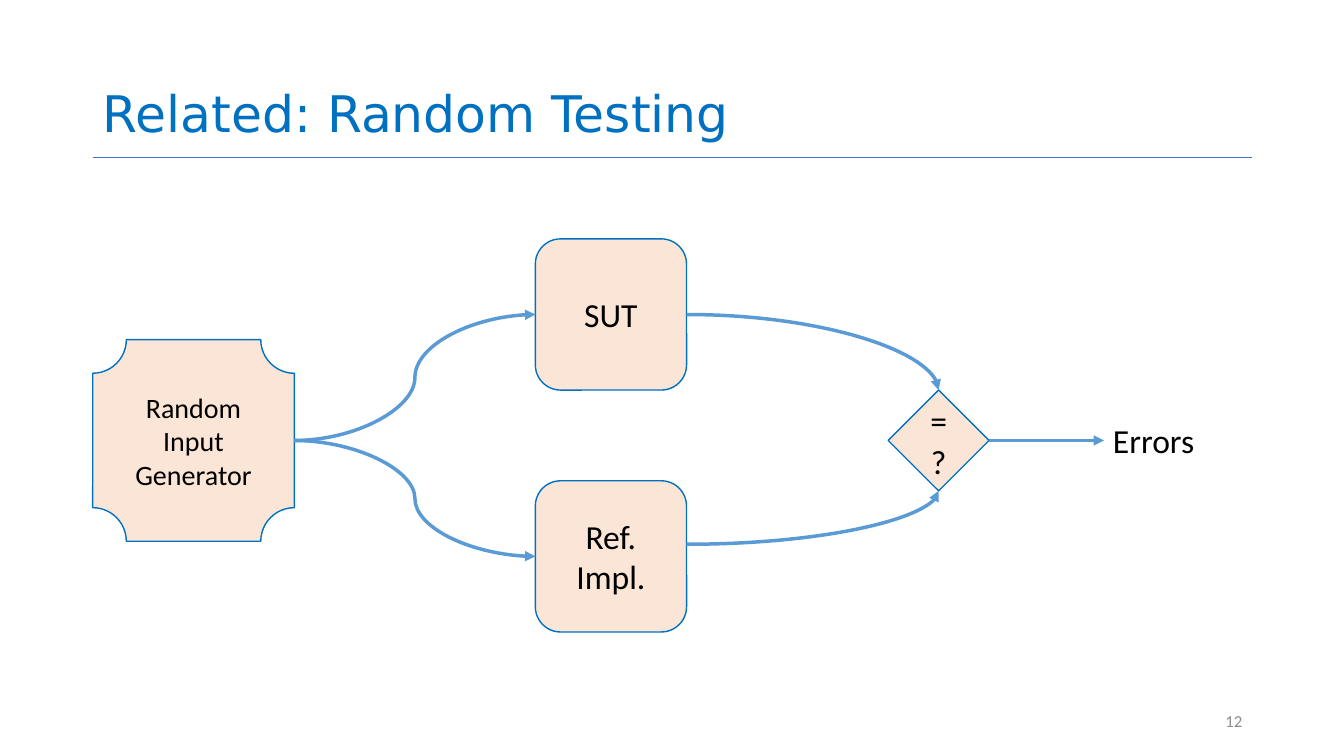
"""Build the random testing flow slide."""
from lxml import etree
from pptx import Presentation
from pptx.dml.color import RGBColor
from pptx.enum.shapes import MSO_CONNECTOR as Connector, MSO_SHAPE as Shape
from pptx.enum.text import MSO_ANCHOR as Anchor, MSO_AUTO_SIZE as AutoSize, PP_ALIGN as Align
from pptx.oxml.ns import qn
from pptx.util import Inches, Pt

COLORS = {
    "title": "0070C0", "rule": "4472C4", "fill": "FBE5D6", "border": "0070C0",
    "arrow": "5B9BD5", "text": "000000", "number": "8C8C8C",
}


def write_text(shape, lines, size, color="text", font="Calibri", align=Align.LEFT, anchor=Anchor.MIDDLE):
    frame = shape.text_frame
    frame.vertical_anchor = anchor
    for index, line in enumerate(lines):
        paragraph = frame.add_paragraph() if index else frame.paragraphs[0]
        paragraph.alignment = align
        run = paragraph.add_run()
        run.text = line
        run.font.size = Pt(size)
        run.font.name = font
        run.font.color.rgb = RGBColor.from_string(COLORS[color])
    return frame


def add_line(kind, start, end, color, width, arrow=True):
    line = slide.shapes.add_connector(kind, *(Inches(value) for value in start + end))
    line.line.color.rgb = RGBColor.from_string(COLORS[color])
    line.line.width = Pt(width)
    properties = line._element.spPr
    if arrow:
        etree.SubElement(properties.find(qn("a:ln")), qn("a:tailEnd"), type="triangle")
    etree.SubElement(properties, qn("a:effectLst"))
    return line


presentation = Presentation()
presentation.slide_width = Inches(13.33)
presentation.slide_height = Inches(7.5)
slide = presentation.slides.add_slide(presentation.slide_layouts[5])

title = slide.shapes.title
title.left, title.top, title.width, title.height = map(Inches, (0.92, 0.02, 11.5, 1.45))
title_frame = write_text(title, ["Related: Random Testing"], 36, "title", "DejaVu Sans", anchor=Anchor.BOTTOM)
title_frame.auto_size = AutoSize.NONE
title_frame.paragraphs[0].line_spacing = 0.9
add_line(Connector.STRAIGHT, (0.92, 1.56), (12.42, 1.56), "rule", 0.5, arrow=False)

nodes = {}
for name, kind, left, top, side, lines, size in [
    ("sut", Shape.ROUNDED_RECTANGLE, 5.31, 2.37, 1.5, ["SUT"], 24),
    ("reference", Shape.ROUNDED_RECTANGLE, 5.31, 4.77, 1.5, ["Ref.", "Impl."], 24),
    ("generator", Shape.PLAQUE, 0.92, 3.37, 2, ["Random", "Input", "Generator"], 20),
    ("comparison", Shape.DIAMOND, 8.81, 3.87, 1, ["=?"], 24),
]:
    node = slide.shapes.add_shape(kind, *map(Inches, (left, top, side, side)))
    node.shadow.inherit = False
    node.fill.solid()
    node.fill.fore_color.rgb = RGBColor.from_string(COLORS["fill"])
    node.line.color.rgb = RGBColor.from_string(COLORS["border"])
    node.line.width = Pt(1)
    write_text(node, lines, size, align=Align.CENTER).word_wrap = True
    nodes[name] = node

for start, end, preset in [
    ((2.92, 4.37), (5.31, 3.12), "curvedConnector3"),
    ((2.92, 4.37), (5.31, 5.52), "curvedConnector3"),
    ((6.81, 3.12), (9.31, 3.87), "curvedConnector2"),
    ((6.81, 5.4), (9.31, 4.87), "curvedConnector2"),
]:
    curve = add_line(Connector.CURVE, start, end, "arrow", 2.5)
    curve._element.spPr.find(qn("a:prstGeom")).set("prst", preset)

error_arrow = add_line(Connector.STRAIGHT, (9.81, 4.37), (10.95, 4.37), "arrow", 2.5)
error_arrow.begin_connect(nodes["comparison"], 3)

errors = slide.shapes.add_textbox(*map(Inches, (10.94, 4.12, 1.02, 0.5)))
errors_frame = write_text(errors, ["Errors"], 24)
errors_frame.word_wrap = False
errors_frame.auto_size = AutoSize.SHAPE_TO_FIT_TEXT

number = slide.shapes.add_textbox(*map(Inches, (9.42, 6.95, 3, 0.4)))
write_text(number, ["12"], 12, "number", align=Align.RIGHT).word_wrap = True

presentation.save("out.pptx")
